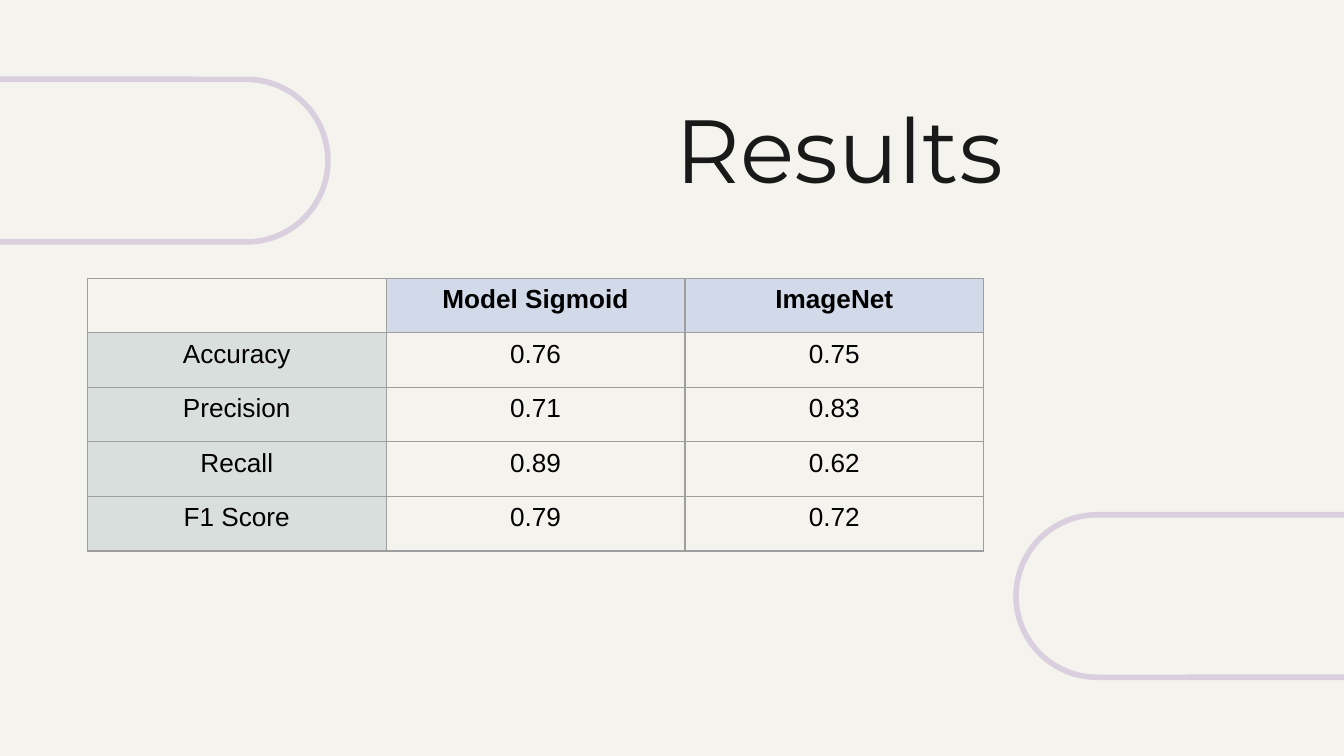
from lxml import etree
from pptx import Presentation
from pptx.dml.color import RGBColor
from pptx.enum.shapes import MSO_SHAPE
from pptx.enum.text import MSO_ANCHOR, PP_ALIGN
from pptx.oxml.ns import qn
from pptx.util import Inches, Pt

PILL = MSO_SHAPE.ROUNDED_RECTANGLE
CENTER = PP_ALIGN.CENTER
TOP = MSO_ANCHOR.TOP

WIDTH = 10
HEIGHT = WIDTH * 9 / 16
CREAM, LILAC, INK, BLACK = "F5F3ED", "D9CFDE", "191919", "000000"
HEADER_BLUE, LABEL_GREEN, BORDER_GRAY = "D2DAE9", "D9DFDD", "9E9E9E"
TABLE_WIDTH, TABLE_HEIGHT = 6.67, 2.03
RESULTS = [
    ["", "Model Sigmoid", "ImageNet"],
    ["Accuracy", "0.76", "0.75"],
    ["Precision", "0.71", "0.83"],
    ["Recall", "0.89", "0.62"],
    ["F1 Score", "0.79", "0.72"],
]


def color(hex_string):
    """Turn a hex string into a colour."""
    return RGBColor.from_string(hex_string)


def add_run(paragraph, text, size, font_name, hex_string, bold=False):
    """Add one centred, styled run to a paragraph."""
    paragraph.alignment = CENTER
    run = paragraph.add_run()
    run.text = text
    run.font.size = Pt(size)
    run.font.name = font_name
    run.font.bold = bold
    run.font.color.rgb = color(hex_string)


def add_pill(slide, left, top):
    """Add an outlined pill that runs past the slide edge."""
    shape = slide.shapes.add_shape(
        PILL, Inches(left), Inches(top), Inches(3.32), Inches(1.21))
    shape.adjustments[0] = 0.5
    shape.shadow.inherit = False
    shape.fill.background()
    shape.line.color.rgb = color(LILAC)
    shape.line.width = Pt(3)


def add_title(slide, text):
    """Add the slide heading."""
    box = slide.shapes.add_textbox(
        Inches(4.52), Inches(0.6), Inches(3.45), Inches(0.92))
    frame = box.text_frame
    frame.word_wrap = True
    frame.vertical_anchor = TOP
    frame.margin_left = frame.margin_right = Inches(0.1)
    frame.margin_top = frame.margin_bottom = Inches(0.1)
    add_run(frame.paragraphs[0], text, 48, "Montserrat", INK)


def add_borders(cell):
    """Draw a thin border on all four sides of a cell."""
    properties = cell._tc.get_or_add_tcPr()
    for side in ("a:lnL", "a:lnR", "a:lnT", "a:lnB"):
        line = etree.SubElement(properties, qn(side), w=str(Pt(0.75)))
        fill = etree.SubElement(line, qn("a:solidFill"))
        etree.SubElement(fill, qn("a:srgbClr"), val=BORDER_GRAY)


def fill_cell(cell, text, row, column):
    """Style a cell by its place in the table and write its text."""
    add_borders(cell)
    if text and (row == 0 or column == 0):
        cell.fill.solid()
        cell.fill.fore_color.rgb = color(HEADER_BLUE if row == 0 else LABEL_GREEN)
    else:
        cell.fill.background()
    if text:
        add_run(cell.text_frame.paragraphs[0], text, 14, "Arial", BLACK, row == 0)


def add_results_table(slide, rows):
    """Add the table of scores on an even grid."""
    table = slide.shapes.add_table(
        len(rows), len(rows[0]), Inches(0.65), Inches(2.07),
        Inches(TABLE_WIDTH), Inches(TABLE_HEIGHT)).table
    table.first_row = False
    table.horz_banding = False
    for column in table.columns:
        column.width = Inches(TABLE_WIDTH / len(rows[0]))
    for row, texts in enumerate(rows):
        table.rows[row].height = Inches(TABLE_HEIGHT / len(rows))
        for column, text in enumerate(texts):
            fill_cell(table.cell(row, column), text, row, column)


def main():
    """Build and save the results slide."""
    presentation = Presentation()
    presentation.slide_width = Inches(WIDTH)
    presentation.slide_height = Inches(HEIGHT)
    slide = presentation.slides.add_slide(presentation.slide_layouts[6])
    slide.background.fill.solid()
    slide.background.fill.fore_color.rgb = color(CREAM)
    add_pill(slide, -0.88, 0.59)
    add_pill(slide, 7.56, 3.83)
    add_title(slide, "Results")
    add_results_table(slide, RESULTS)
    presentation.save("out.pptx")


if __name__ == "__main__":
    main()
